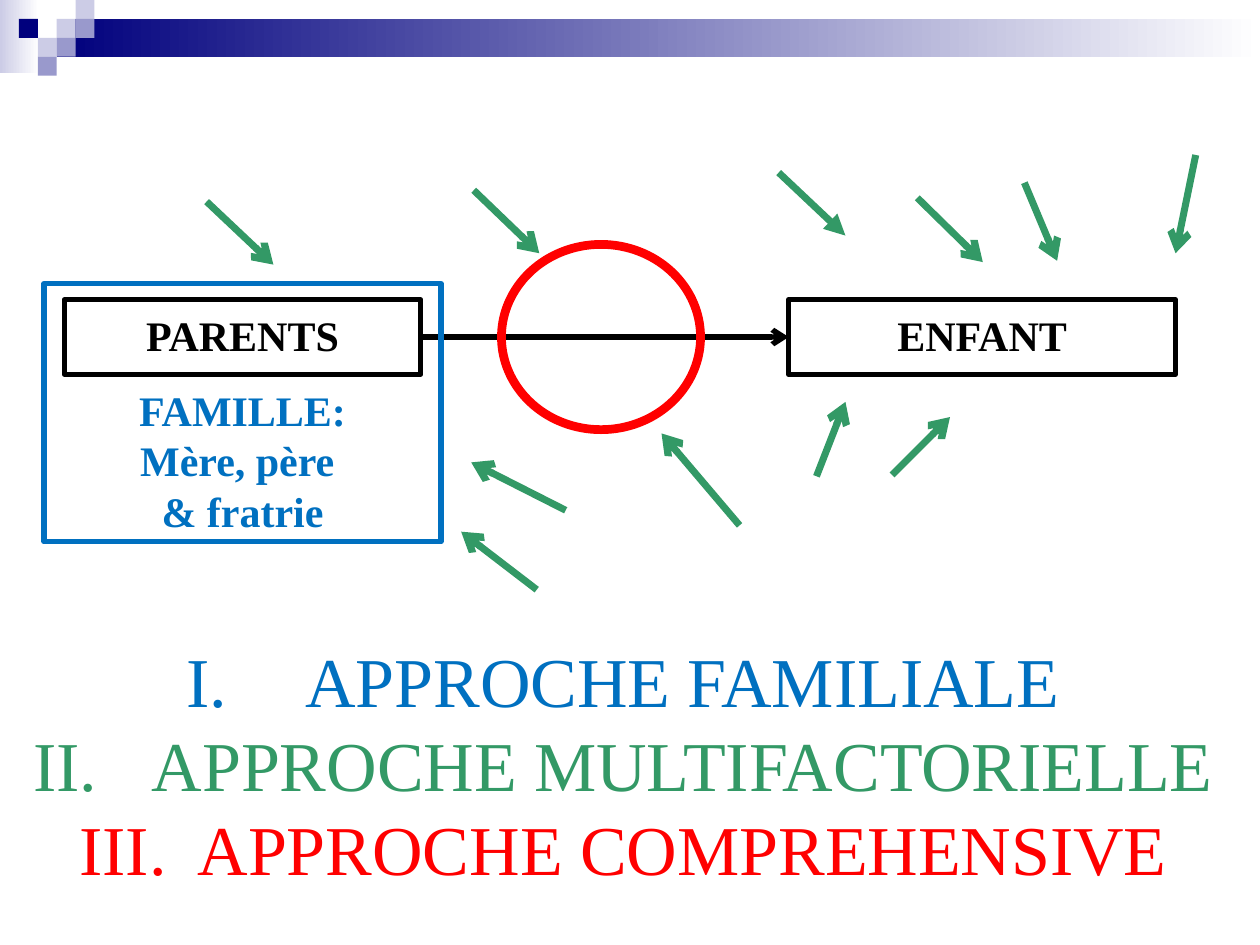
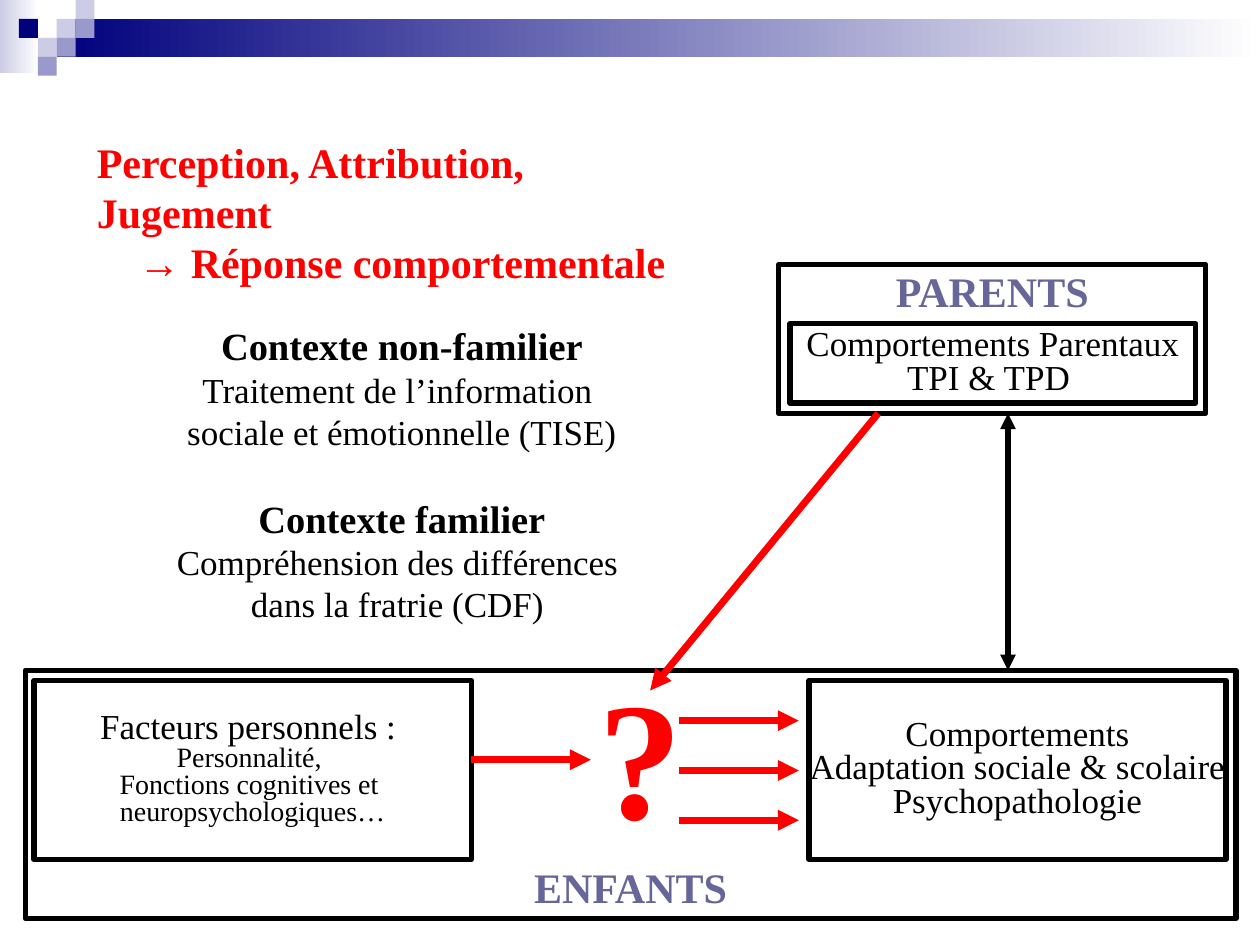
from lxml.etree import SubElement
from pptx import Presentation
from pptx.dml.color import RGBColor
from pptx.enum.shapes import MSO_CONNECTOR as CONN, MSO_SHAPE as SHAPE
from pptx.enum.text import MSO_ANCHOR as ANCHOR, PP_ALIGN as ALIGN
from pptx.oxml.ns import qn
from pptx.util import Inches, Pt

COLORS = {
    "black": "000000", "white": "FFFFFF", "red": "FF0000",
    "green": "339966", "blue": "0070C0", "slate": "666699",
    "navy": "00007D", "lilac": "CCCCE6", "violet": "9999CC",
}
FONT = "Times New Roman"
TILE = 0.15


def rgb(name):
    return RGBColor.from_string(COLORS[name])


def write(tf, text, size=20, color="black", bold=False, font=FONT,
          align=ALIGN.CENTER, spacing=None, before=None, p=None):
    """Add a run to p, or to a new paragraph of the frame."""
    if p is None:
        p = tf.add_paragraph() if tf.text else tf.paragraphs[0]
        p.alignment = align
        p.line_spacing = spacing
        if before:
            p.space_before = Pt(before)
    r = p.add_run()
    r.text = text
    r.font.size, r.font.bold, r.font.name = Pt(size), bold, font
    r.font.color.rgb = rgb(color)
    return p


def set_frame(tf, anchor, wrap, top=0.05):
    tf.word_wrap, tf.vertical_anchor = wrap, anchor
    tf.margin_left = tf.margin_right = Inches(0.1)
    tf.margin_top, tf.margin_bottom = Inches(top), Inches(0.05)


def add_text_area(slide, box):
    tf = slide.shapes.add_textbox(*map(Inches, box)).text_frame
    set_frame(tf, ANCHOR.MIDDLE, True)
    return tf


def add_frame(slide, box, line="black", width=3, kind=SHAPE.RECTANGLE,
              anchor=ANCHOR.MIDDLE, top=0.05):
    """Add an unfilled outline."""
    s = slide.shapes.add_shape(kind, *map(Inches, box))
    s.shadow.inherit = False
    s.fill.background()
    s.line.color.rgb, s.line.width = rgb(line), Pt(width)
    set_frame(s.text_frame, anchor, False, top)
    return s


def add_arrow(slide, x1, y1, x2, y2, color, width=4, head=None,
              tail="triangle"):
    c = slide.shapes.add_connector(CONN.STRAIGHT,
                                   *map(Inches, (x1, y1, x2, y2)))
    c.line.color.rgb, c.line.width = rgb(color), Pt(width)
    ln = c.line._get_or_add_ln()
    for tag, kind in (("a:headEnd", head), ("a:tailEnd", tail)):
        if kind:
            SubElement(ln, qn(tag), type=kind)
    SubElement(c._element.spPr, qn("a:effectLst"))
    return c


def add_block(slide, box, color, fade=False):
    s = slide.shapes.add_shape(SHAPE.RECTANGLE, *map(Inches, box))
    s.shadow.inherit = False
    s.line.fill.background()
    if fade:
        s.fill.gradient()
        s.fill.gradient_angle = 0
        for stop, name in zip(s.fill.gradient_stops, (color, "white")):
            stop.color.rgb = rgb(name)
    else:
        s.fill.solid()
        s.fill.fore_color.rgb = rgb(color)


def add_band(slide):
    """Faded top band with its mosaic of tiles."""
    add_block(slide, (0, 0, 0.31, 0.58), "lilac", fade=True)
    add_block(slide, (0.45, TILE, 9.55, 0.3), "navy", fade=True)
    tiles = [(3, 1, "lilac"), (4, 0, "lilac"), (4, 1, "violet"),
             (2, 2, "lilac"), (1, 1, "navy"), (3, 2, "violet"),
             (2, 3, "violet")]
    for col, row, color in tiles:
        add_block(slide, (col * TILE, row * TILE, TILE, TILE), color)


def new_slide(prs):
    slide = prs.slides.add_slide(prs.slide_layouts[6])
    add_band(slide)
    return slide


def add_family_diagram(slide, x, y):
    """Parents, child and the link between them."""
    ends = []
    for name, left, width in (("PARENTS", 0.16, 2.83), ("ENFANT", 5.91, 3.07)):
        s = add_frame(slide, (x + left, y + 0.13, width, 0.59), top=0.01)
        write(s.text_frame, name, size=24, bold=True)
        ends.append(s)
    link = add_arrow(slide, x + 3, y + 0.43, x + 5.91, y + 0.43, "black",
                     width=3, tail="arrow")
    link.begin_connect(ends[0], 3)
    link.end_connect(ends[1], 1)
    add_frame(slide, (x + 3.63, y - 0.31, 1.58, 1.47), "red", 5, SHAPE.OVAL)
    family = add_frame(slide, (x, y, 3.15, 2.05), "blue",
                       anchor=ANCHOR.BOTTOM, top=0.01)
    for line in ("FAMILLE:", "Mère, père ", "& fratrie"):
        write(family.text_frame, line, size=24, color="blue", bold=True)


def add_influences(slide):
    """Outside factors pointing at the family, the link and the child."""
    add_arrow(slide, 6.18, 1.37, 6.71, 1.87, "green")
    influences = [
        (3.76, 1.51, 4.28, 2.01), (4.49, 4.05, 3.74, 3.67),
        (7.28, 1.57, 7.8, 2.08), (8.13, 1.45, 8.39, 2.07),
        (5.87, 4.17, 5.25, 3.44), (1.64, 1.6, 2.17, 2.1),
        (9.49, 1.23, 9.33, 2.01), (4.26, 4.68, 3.66, 4.22),
        (7.08, 3.77, 7.54, 3.31), (6.48, 3.78, 6.71, 3.19),
    ]
    for points in influences:
        add_arrow(slide, *points, "green", tail="arrow")


def add_approaches(slide, box):
    """Roman-numbered list, each line in its own colour."""
    tf = add_text_area(slide, box)
    for name, color in (("FAMILIALE", "blue"), ("MULTIFACTORIELLE", "green"),
                        ("COMPREHENSIVE", "red")):
        p = write(tf, f"APPROCHE {name}", size=40, color=color)
        pPr = p._p.get_or_add_pPr()
        pPr.set("marL", str(Inches(0.94)))
        pPr.set("indent", str(-Inches(0.94)))
        SubElement(SubElement(pPr, qn("a:buClr")), qn("a:srgbClr"),
                   val=COLORS[color])
        SubElement(pPr, qn("a:buFont"), typeface=FONT)
        SubElement(pPr, qn("a:buAutoNum"), type="romanUcPeriod")


def add_group(slide, box, title, anchor):
    s = add_frame(slide, box, anchor=anchor, top=0.01)
    write(s.text_frame, title, size=24, color="slate", bold=True)


def add_detail(slide, box, lines):
    tf = add_frame(slide, box).text_frame
    for text, size in lines:
        write(tf, text, size=size, spacing=0.8)


def add_parents(slide, x, y):
    add_group(slide, (x, y, 3.39, 1.18), "PARENTS", ANCHOR.TOP)
    add_detail(slide, (x + 0.09, y + 0.47, 3.22, 0.63),
               [("Comportements Parentaux", 20), ("TPI & TPD ", 20)])


def add_children(slide, x, y):
    """Personal factors leading through the question to behaviours."""
    add_group(slide, (x, y, 9.61, 1.97), "ENFANTS", ANCHOR.BOTTOM)
    add_detail(slide, (x + 6.22, y + 0.08, 3.31, 1.42),
               [("Comportements", 20), ("Adaptation sociale & scolaire", 20),
                ("Psychopathologie", 20)])
    add_detail(slide, (x + 0.07, y + 0.08, 3.47, 1.42),
               [("Facteurs personnels : ", 20), ("Personnalité, ", 16),
                ("Fonctions cognitives et ", 16),
                ("neuropsychologiques…", 16)])
    tf = add_text_area(slide, (x + 3.86, y - 0.2, 2.05, 1.7))
    write(tf, "?", size=96, color="red", bold=True)
    starts = [(3.54, 0.71)] + [(5.19, 0.4 + i * 0.395) for i in range(3)]
    for left, top in starts:
        add_arrow(slide, x + left, y + top, x + left + 0.95, y + top, "red")


def add_headline(slide, box):
    tf = add_text_area(slide, box)
    style = dict(size=24, color="red", bold=True)
    write(tf, "Perception, Attribution, Jugement", align=ALIGN.LEFT, **style)
    p = write(tf, "→", font="Arial", **style)
    write(tf, " Réponse comportementale", p=p, **style)


def add_contexts(slide, box):
    tf = add_text_area(slide, box)
    contexts = [
        ("Contexte non-familier", "Traitement de l’information ",
         "sociale et émotionnelle (TISE)"),
        ("Contexte familier", "Compréhension des différences ",
         "dans la fratrie (CDF) "),
    ]
    for i, (title, *lines) in enumerate(contexts):
        write(tf, title, size=22, bold=True, before=24 * i)
        for line in lines:
            write(tf, line)


def build_approaches_slide(prs):
    slide = new_slide(prs)
    add_family_diagram(slide, 0.35, 2.25)
    add_influences(slide)
    add_approaches(slide, (0.12, 5.01, 9.65, 2.1))


def build_model_slide(prs):
    slide = new_slide(prs)
    add_parents(slide, 6.18, 2.1)
    add_children(slide, 0.2, 5.32)
    add_arrow(slide, 8, 3.28, 8, 5.32, "black", width=3, head="triangle")
    add_arrow(slide, 6.97, 3.28, 5.16, 5.48, "red")
    add_headline(slide, (0.67, 0.83, 5.04, 1.7))
    add_contexts(slide, (0.12, 2.51, 6.14, 2.5))


def main():
    prs = Presentation()
    prs.slide_width, prs.slide_height = Inches(10), Inches(7.5)
    build_approaches_slide(prs)
    build_model_slide(prs)
    prs.save("out.pptx")


if __name__ == "__main__":
    main()
